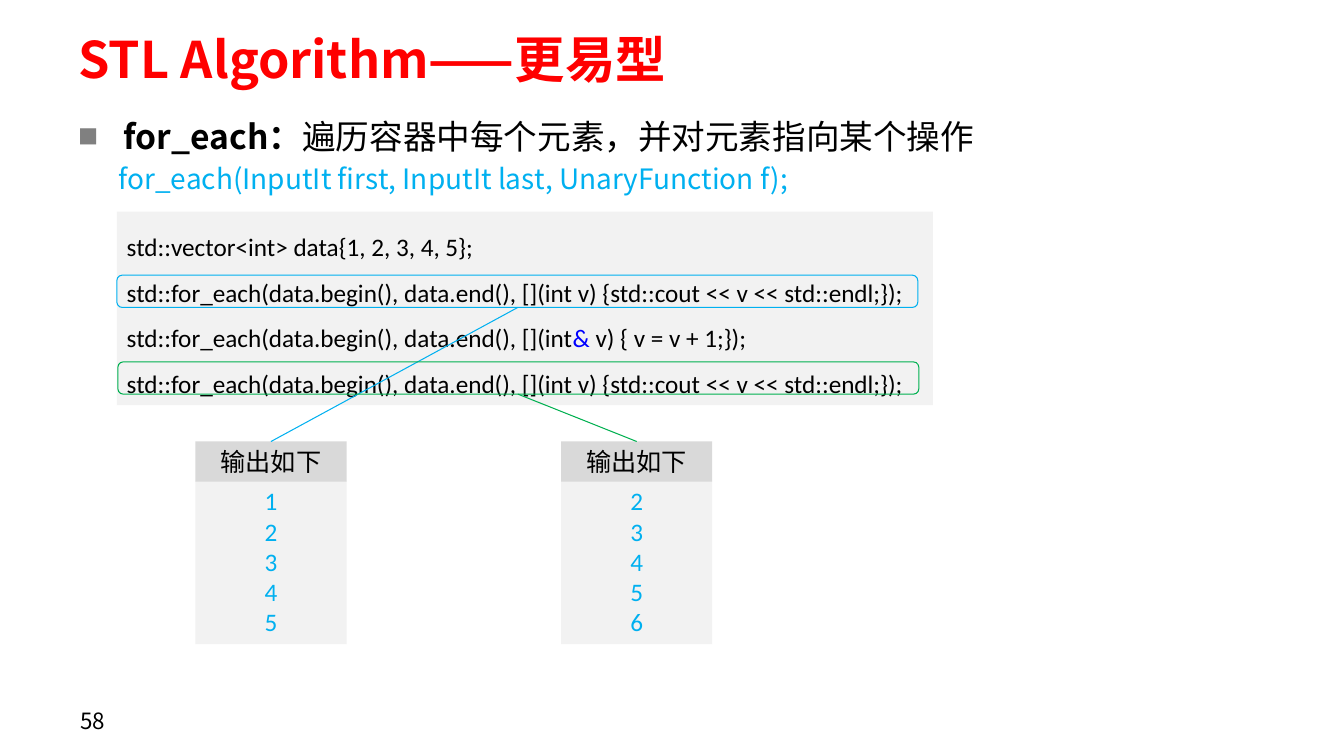
from dataclasses import dataclass
from typing import Optional

import pptx
import pptx.dml.color
import pptx.enum.shapes
import pptx.enum.text
import pptx.oxml
import pptx.oxml.ns
import pptx.util
from pptx.dml.color import RGBColor
from pptx.util import Inches

RED = RGBColor(0xFF, 0x00, 0x00)
BLACK = RGBColor(0x00, 0x00, 0x00)
BLUE = RGBColor(0x00, 0x00, 0xFF)
SKY = RGBColor(0x00, 0xB0, 0xF0)
GREEN = RGBColor(0x00, 0xB0, 0x50)
PANEL = RGBColor(0xF2, 0xF2, 0xF2)
HEADER = RGBColor(0xD9, 0xD9, 0xD9)
NOTO = "Noto Sans CJK SC"
CALIBRI = "Calibri"
WIDE_INSETS = (0.13, 0.07)
NORMAL_INSETS = (0.1, 0.05)
LEFT = pptx.enum.text.PP_ALIGN.LEFT
CENTER = pptx.enum.text.PP_ALIGN.CENTER
TOP = pptx.enum.text.MSO_ANCHOR.TOP
MIDDLE = pptx.enum.text.MSO_ANCHOR.MIDDLE
RECTANGLE = pptx.enum.shapes.MSO_SHAPE.RECTANGLE
ROUNDED = pptx.enum.shapes.MSO_SHAPE.ROUNDED_RECTANGLE


@dataclass(frozen=True)
class Run:
    text: str
    color: Optional[RGBColor] = None
    bold: Optional[bool] = None


@dataclass(frozen=True)
class Box:
    left: float
    top: float
    width: float
    height: float

    def lengths(self) -> list:
        return [Inches(n) for n in (self.left, self.top, self.width, self.height)]


@dataclass(frozen=True)
class Example:
    """A highlighted call and the output panel it leads to."""
    highlight: Box
    color: RGBColor
    panel_left: float
    values: range


PANEL_WIDTH = 1.5
HEADER_TOP, HEADER_HEIGHT = 4.38, 0.4
VALUES_TOP, VALUES_HEIGHT = 4.77, 1.62
CALL_CENTER = 5.14
PRINT_CALL = "std::for_each(data.begin(), data.end(), [](int v) {std::cout << v << std::endl;});"
CODE = [
    [Run("std::vector<int> data{1, 2, 3, 4, 5};")],
    [Run(PRINT_CALL)],
    [Run("std::for_each(data.begin(), data.end(), [](int"), Run("&", BLUE), Run(" v) { v = v + 1;});")],
    [Run(PRINT_CALL)],
]
EXAMPLES = [
    Example(Box(1.16, 2.73, 7.95, 0.32), SKY, 1.94, range(1, 6)),
    Example(Box(1.17, 3.59, 7.95, 0.32), GREEN, 5.57, range(2, 7)),
]


def write_text(shape, paragraphs: list, *, size: float, color: RGBColor = BLACK,
               font: str = NOTO, bold: bool = False, align=LEFT, anchor=TOP,
               insets: tuple = NORMAL_INSETS, spacing: Optional[float] = None) -> None:
    """Fill a shape with paragraphs, each a list of runs."""
    frame = shape.text_frame
    frame.word_wrap = True
    frame.auto_size = pptx.enum.text.MSO_AUTO_SIZE.NONE
    frame.vertical_anchor = anchor
    frame.margin_left = frame.margin_right = Inches(insets[0])
    frame.margin_top = frame.margin_bottom = Inches(insets[1])
    for index, runs in enumerate(paragraphs):
        paragraph = frame.add_paragraph() if index else frame.paragraphs[0]
        paragraph.alignment = align
        if spacing:
            paragraph.line_spacing = spacing
        for part in runs:
            run = paragraph.add_run()
            run.text = part.text
            run.font.name = font
            run.font.size = pptx.util.Pt(size)
            run.font.bold = bold if part.bold is None else part.bold
            run.font.color.rgb = part.color or color
            east_asian = pptx.oxml.parse_xml(
                f'<a:ea {pptx.oxml.ns.nsdecls("a")} typeface="{font}"/>')
            run.font._element.find(pptx.oxml.ns.qn("a:latin")).addnext(east_asian)


def add_bullet(paragraph) -> None:
    """Give a paragraph a small grey square and a hanging indent."""
    properties = paragraph._p.get_or_add_pPr()
    properties.set("marL", str(Inches(0.45)))
    properties.set("indent", str(Inches(-0.45)))
    for element in ('<a:buClr {}><a:srgbClr val="808080"/></a:buClr>',
                    '<a:buSzPct {} val="60000"/>',
                    '<a:buFont {} typeface="Noto Sans CJK SC"/>',
                    '<a:buChar {} char="■"/>'):
        properties.append(pptx.oxml.parse_xml(element.format(pptx.oxml.ns.nsdecls("a"))))


def add_block(slide, kind, box: Box, *, fill: Optional[RGBColor] = None,
              line: Optional[RGBColor] = None):
    shape = slide.shapes.add_shape(kind, *box.lengths())
    shape.shadow.inherit = False
    if fill is None:
        shape.fill.background()
    else:
        shape.fill.solid()
        shape.fill.fore_color.rgb = fill
    if line is None:
        shape.line.fill.background()
    else:
        shape.line.color.rgb = line
        shape.line.width = pptx.util.Pt(0.75)
    return shape


def add_line(slide, start: tuple, end: tuple, color: RGBColor) -> None:
    points = [Inches(n) for n in (*start, *end)]
    connector = slide.shapes.add_connector(pptx.enum.shapes.MSO_CONNECTOR.STRAIGHT, *points)
    connector.line.color.rgb = color
    connector.line.width = pptx.util.Pt(0.75)
    connector._element.spPr.append(
        pptx.oxml.parse_xml(f'<a:effectLst {pptx.oxml.ns.nsdecls("a")}/>'))


def add_output(slide, example: Example) -> None:
    values = add_block(slide, RECTANGLE, Box(example.panel_left, VALUES_TOP, PANEL_WIDTH, VALUES_HEIGHT),
                       fill=PANEL)
    write_text(values, [[Run(str(value))] for value in example.values],
               size=18, color=SKY, font=CALIBRI, align=CENTER)
    header = add_block(slide, RECTANGLE, Box(example.panel_left, HEADER_TOP, PANEL_WIDTH, HEADER_HEIGHT),
                       fill=HEADER)
    write_text(header, [[Run("输出如下")]], size=18, align=CENTER, anchor=MIDDLE)


def add_highlight(slide, example: Example) -> None:
    box = example.highlight
    add_block(slide, ROUNDED, box, line=example.color)
    add_line(slide, (CALL_CENTER, box.top + box.height),
             (example.panel_left + PANEL_WIDTH / 2, HEADER_TOP), example.color)


def main() -> None:
    presentation = pptx.Presentation()
    presentation.slide_width = Inches(13.34)
    presentation.slide_height = Inches(7.5)
    slide = presentation.slides.add_slide(presentation.slide_layouts.get_by_name("Title Only"))

    # Title
    title = slide.shapes.title
    title.left, title.top, title.width, title.height = Box(0.65, 0.28, 12.13, 0.59).lengths()
    write_text(title, [[Run("STL Algorithm——更易型")]], size=36, color=RED, bold=True,
               anchor=MIDDLE, insets=WIDE_INSETS)

    # Description, signature and slide number
    description = slide.shapes.add_textbox(*Box(0.65, 0.92, 12.13, 0.66).lengths())
    add_bullet(description.text_frame.paragraphs[0])
    write_text(description, [[Run("for_each：", bold=True), Run("遍历容器中每个元素，并对元素指向某个操作")]],
               size=24, insets=WIDE_INSETS, spacing=1.4)
    signature = slide.shapes.add_textbox(*Box(1.08, 1.55, 10.08, 0.44).lengths())
    write_text(signature, [[Run("for_each(InputIt first, InputIt last, UnaryFunction f);")]],
               size=20, color=SKY)
    number = slide.shapes.add_textbox(*Box(0.67, 6.95, 3.11, 0.4).lengths())
    write_text(number, [[Run("58")]], size=16, anchor=MIDDLE, insets=WIDE_INSETS)

    # Code
    code = add_block(slide, RECTANGLE, Box(1.16, 2.1, 8.1, 1.92), fill=PANEL)
    write_text(code, CODE, size=18, font=CALIBRI, spacing=1.5)

    # Outputs, then the highlights that point to them
    for example in EXAMPLES:
        add_output(slide, example)
    for example in EXAMPLES:
        add_highlight(slide, example)

    presentation.save("out.pptx")


if __name__ == "__main__":
    main()
